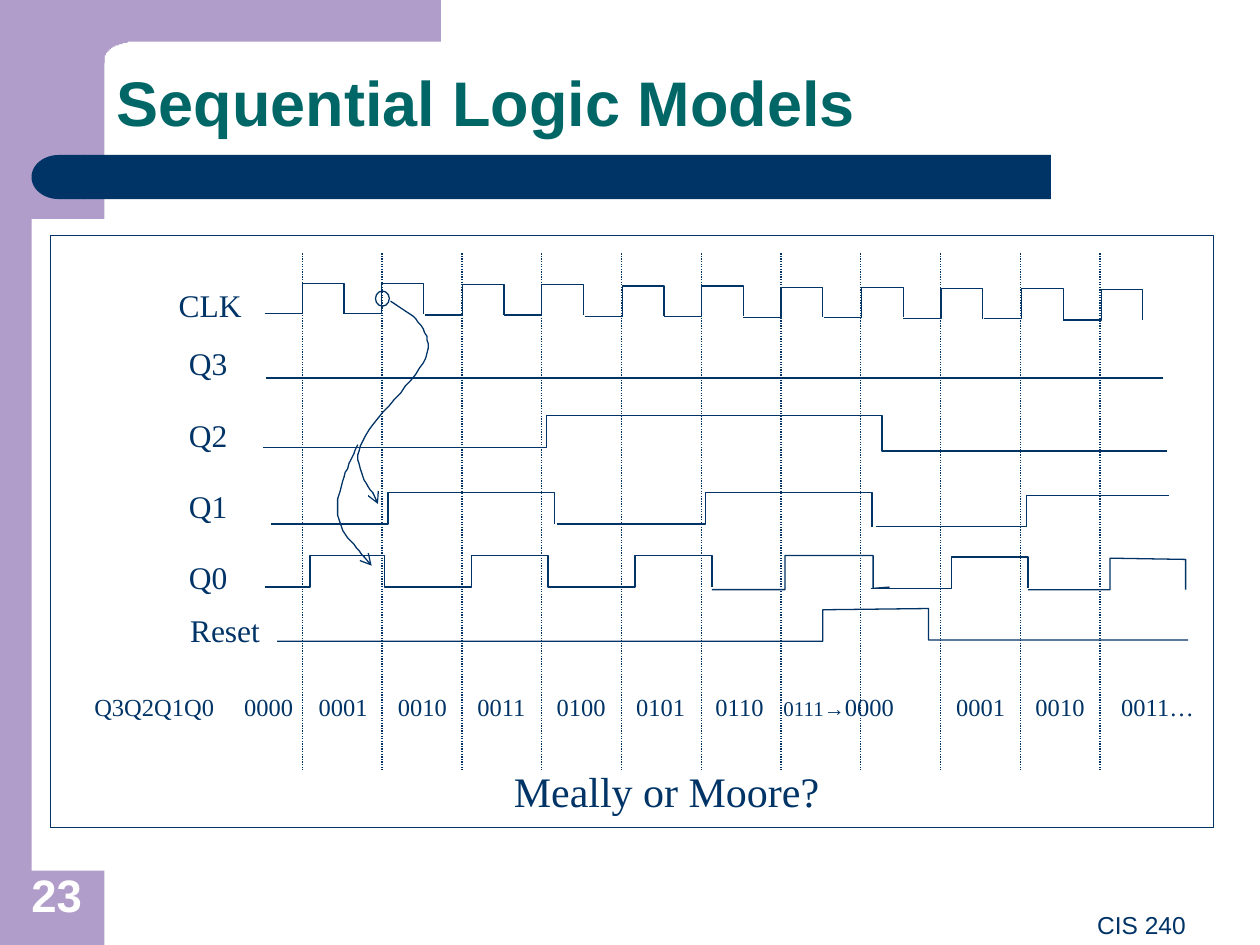
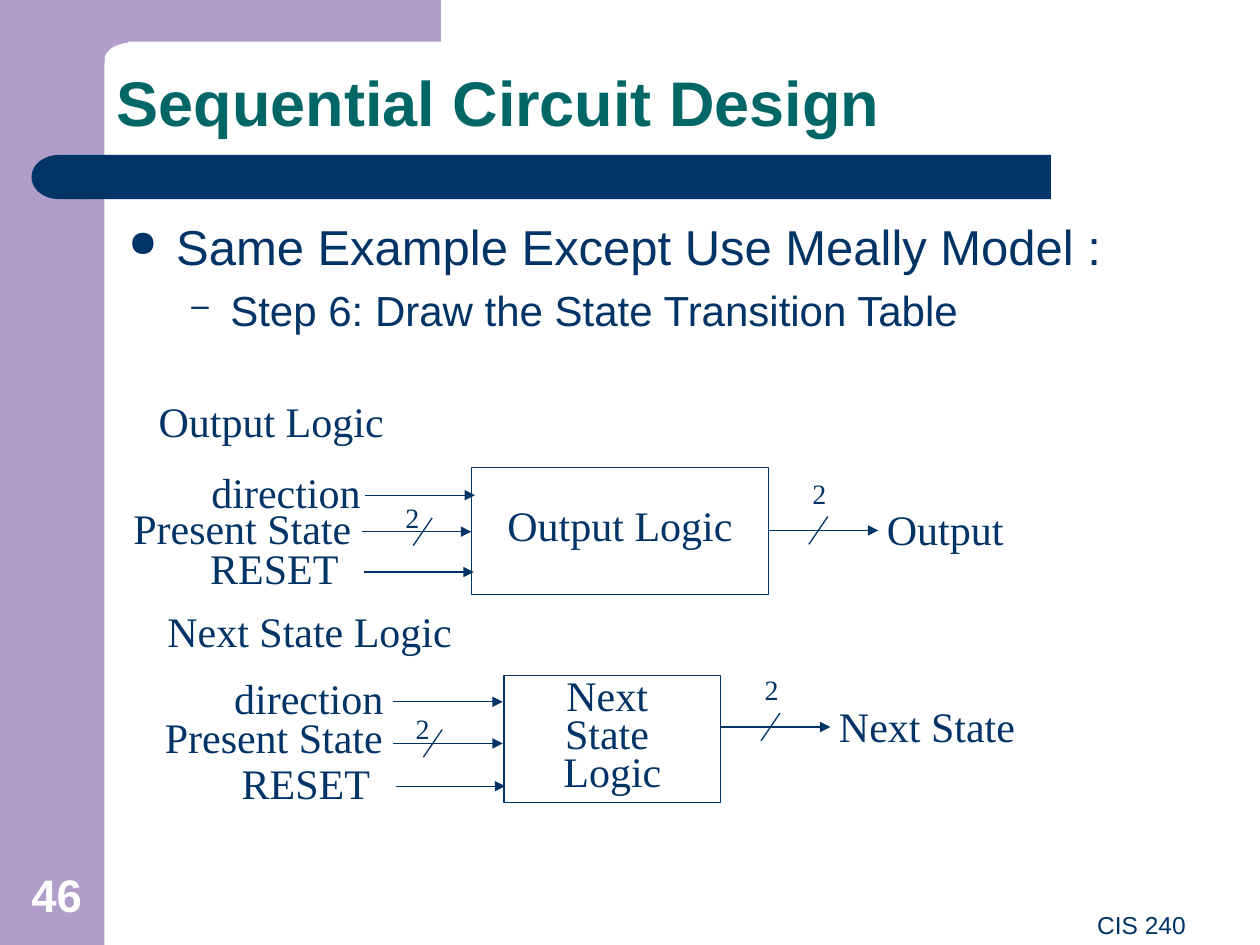
from dataclasses import dataclass

import lxml.etree
import pptx
import pptx.dml.color
import pptx.enum.dml
import pptx.enum.shapes
import pptx.enum.text
import pptx.oxml.ns
import pptx.util

qn = pptx.oxml.ns.qn
Align = pptx.enum.text.PP_ALIGN
Anchor = pptx.enum.text.MSO_ANCHOR
Kind = pptx.enum.shapes.MSO_SHAPE
PX = 9144  # 100 px to the inch


@dataclass(frozen=True)
class Theme:
    navy: str = "003366"
    teal: str = "006666"
    lilac: str = "B09DC9"
    white: str = "FFFFFF"
    sans: str = "Arial"
    serif: str = "Times New Roman"
    title: int = 36
    lead: int = 28
    page: int = 26
    large: int = 24
    label: int = 18
    bits: int = 16
    small: int = 14
    tiny: int = 12
    rule: float = 0.75


T = Theme()


# Drawing helpers
def rgb(code):
    return pptx.dml.color.RGBColor.from_string(code)


def emu(*nums):
    return [pptx.util.Emu(round(n * PX)) for n in nums]


def paint(shape, fill=None, line=None):
    shape.shadow.inherit = False
    if fill:
        shape.fill.solid()
        shape.fill.fore_color.rgb = rgb(fill)
    else:
        shape.fill.background()
    if line:
        ink(shape, line)
    else:
        shape.line.fill.background()
    return shape


def ink(shape, color=T.navy):
    shape.line.color.rgb = rgb(color)
    shape.line.width = pptx.util.Pt(T.rule)


def head(shape, kind):
    line = shape.element.spPr.find(qn("a:ln"))
    lxml.etree.SubElement(line, qn("a:tailEnd"), type=kind)


def block(slide, kind, box, fill=None, line=None):
    return paint(slide.shapes.add_shape(kind, *emu(*box)), fill, line)


def rule(slide, start, end, dots=False, arrow=False):
    kind = pptx.enum.shapes.MSO_CONNECTOR.STRAIGHT
    line = slide.shapes.add_connector(kind, *emu(*start, *end))
    ink(line)
    if dots:
        line.line.dash_style = pptx.enum.dml.MSO_LINE.ROUND_DOT
    if arrow:
        head(line, "triangle")
    lxml.etree.SubElement(line.element.spPr, qn("a:effectLst"))


def trace(slide, points, fill=None, line=T.navy, close=False):
    build = slide.shapes.build_freeform(*points[0], scale=PX)
    build.add_line_segments(points[1:], close=close)
    return paint(build.convert_to_shape(), fill, line)


def curve(points, steps=16):
    """Points along joined cubic curves: a start, then three for each curve."""
    out = [points[0]]
    for i in range(0, len(points) - 1, 3):
        quad = points[i:i + 4]
        for k in range(1, steps + 1):
            t = k / steps
            mix = ((1 - t) ** 3, 3 * t * (1 - t) ** 2, 3 * t * t * (1 - t), t ** 3)
            out.append(tuple(sum(m * p[a] for m, p in zip(mix, quad)) for a in (0, 1)))
    return out


def style(para, size, font=T.serif, color=T.navy, bold=False):
    para.font.size = pptx.util.Pt(size)
    para.font.name = font
    para.font.color.rgb = rgb(color)
    para.font.bold = bold


def text(slide, box, words, size, font=T.serif, color=T.navy, bold=False,
         align=Align.LEFT, anchor=Anchor.TOP, lead=None, wrap=True):
    frame = slide.shapes.add_textbox(*emu(*box)).text_frame
    frame.word_wrap = wrap
    frame.vertical_anchor = anchor
    para = frame.paragraphs[0]
    para.text = words
    para.alignment = align
    if lead:
        para.line_spacing = lead
    style(para, size, font, color, bold)
    return para


# Shared frame
def band(slide):
    block(slide, Kind.RECTANGLE, (0, 0, 83, 750), T.lilac)
    bend = curve([(103, 33), (100, 34), (96, 35), (93, 36), (90, 37),
                  (87, 39), (86, 41), (84, 42), (84, 44), (83, 45)])
    trace(slide, [(350, 0), (350, 33), *bend, (83, 50), (50, 50), (50, 0)],
          T.lilac, None, True)
    block(slide, Kind.RECTANGLE, (67, 123, 767, 35), T.navy)
    block(slide, Kind.FLOWCHART_DELAY, (25, 123, 43, 35), T.navy).rotation = 180


def base(deck, title, page):
    slide = deck.slides.add_slide(deck.slide_layouts[6])
    band(slide)
    text(slide, (83, 33, 867, 83), title, T.title, T.sans, T.teal, True,
         anchor=Anchor.BOTTOM, lead=0.9)
    text(slide, (0, 683, 90, 53), page, T.page, T.sans, T.white, True,
         Align.CENTER, Anchor.BOTTOM)
    text(slide, (342, 717, 609, 32), "CIS 240", T.small, T.sans, align=Align.RIGHT)
    return slide


# Timing chart, placed in a box
PITCH = 63.3
NAMES = [("CLK", 92, 35), ("Q3", 100, 81), ("Q2", 100, 138),
         ("Q1", 100, 195), ("Q0", 100, 251), ("Reset", 101, 293)]
WAVES = [
    # Q3
    [(171, 113), (883, 113)],
    # Q2
    [(169, 168), (394, 168), (394, 143), (660, 143), (660, 171), (886, 171)],
    # Q1
    [(175, 229), (268, 229), (268, 204), (400, 204), (400, 229)],
    [(402, 229), (520, 229), (520, 204), (652, 204), (652, 231)],
    [(655, 231), (775, 231), (775, 206), (888, 206)],
    # Q0
    [(170, 279), (206, 279), (206, 254), (265, 254), (265, 279), (334, 279),
     (334, 254), (395, 254), (395, 279), (464, 279), (464, 254), (525, 254),
     (525, 279)],
    [(525, 281), (583, 281), (583, 254), (653, 254), (653, 280), (666, 279)],
    [(651, 280), (715, 280), (715, 255), (776, 255), (776, 280)],
    [(776, 281), (841, 281), (841, 256), (901, 257), (901, 281)],
    # Reset
    [(180, 322), (613, 322), (613, 297), (697, 296), (697, 321), (903, 321)],
]
CAUSES = [
    [(270, 52), (287, 62), (303, 73), (299, 93), (295, 112), (252, 147),
     (246, 167), (239, 187), (257, 203), (260, 213)],
    [(244, 166), (235, 186), (226, 206), (228, 222), (230, 238), (251, 255),
     (255, 262)],
]


def states(slide, box):
    para = text(slide, box, "", T.small)
    stops = [119, *(round(178 + 63 * i) for i in range(6)), 547, 684, 747, 815]
    tabs = lxml.etree.SubElement(para._p.get_or_add_pPr(), qn("a:tabLst"))
    for stop in stops:
        lxml.etree.SubElement(tabs, qn("a:tab"), pos=str(stop * PX), algn="l")
    style(para, T.small)
    codes = [f"{n:04b}" for n in range(7)]
    para.add_run().text = "\t".join(["Q3Q2Q1Q0", *codes, ""])
    jump = para.add_run()
    jump.text = "0111→"
    jump.font.size = pptx.util.Pt(T.tiny)
    para.add_run().text = "\t".join(["0000", "0001", "0010", "0011…"])


def timing(slide, box):
    left, top, wide, high = box

    def at(points):
        return [(left + x, top + y) for x, y in points]

    block(slide, Kind.RECTANGLE, box, line=T.navy)
    for i in range(11):
        x = left + 200 + PITCH * i
        rule(slide, (x, top + 14), (x, top + 424), dots=True)
        # Clock pulse, sinking slightly along the row
        x, low = round(170 + 63.4 * i), 62 + i // 2
        trace(slide, at([(x, low), (x + 30, low), (x + 30, low - 24),
                         (x + 63, low - 24), (x + 63, low)]))
    for name, x, y in NAMES:
        text(slide, (left + x, top + y, 101, 40), name, T.label)
    for wave in WAVES:
        trace(slide, at(wave))
    block(slide, Kind.OVAL, (left + 258, top + 44, 11, 12), line=T.navy)
    for cause in CAUSES:
        head(trace(slide, at(curve(cause))), "arrow")
    states(slide, (left + 25, top + 357, 907, 33))
    text(slide, (left + 358, top + 416, 291, 50), "Meally or Moore?", T.large)


# Logic diagram, placed around its box
def bus(slide, x, y, slash, dx, dy):
    rule(slide, (x + slash, y - 11), (x + slash - 15, y + 11))
    text(slide, (x + dx, y + dy, 30, 37), "2", T.bits)


def logic(slide, box, name, title, inset, inputs, slash, result, drop):
    left, top, wide, high = box
    words, dx, dy = title
    text(slide, (left + dx, top + dy, 248, 50), words, T.large, wrap=False)

    frame = block(slide, Kind.RECTANGLE, box, line=T.navy).text_frame
    frame.vertical_anchor = Anchor.TOP
    frame.margin_top = emu(inset)[0]
    frame.text = "\n".join(name)
    for para in frame.paragraphs:
        para.alignment = Align.CENTER
        para.line_spacing = 0.75
        style(para, T.large)

    # Inputs, the middle one two bits wide
    for i, (word, dx, dy, ax, ay) in enumerate(inputs):
        x, y = left + ax, top + ay
        text(slide, (left + dx, top + dy, 248, 50), word, T.large)
        rule(slide, (x, y), (x + 87, y), arrow=True)
        if i == 1:
            bus(slide, x, y, slash, slash - 31, -30)

    # Result
    x, y = left + wide, top + drop
    rule(slide, (x, y), (x + 87, y), arrow=True)
    bus(slide, x, y, 47, 25, -48)
    text(slide, (x + 84, y - 26, 185, 50), result, T.large)


# Bullets
def points(slide, box, items):
    frame = slide.shapes.add_textbox(*emu(*box)).text_frame
    frame.word_wrap = True
    for i, (words, mark, size, margin, hang) in enumerate(items):
        para = frame.add_paragraph() if i else frame.paragraphs[0]
        para.text = words
        para.level = i
        if i:
            para.space_before = pptx.util.Pt(5)
        props = para._p.get_or_add_pPr()
        props.set("marL", str(margin * PX))
        props.set("indent", str(-hang * PX))
        tint = lxml.etree.SubElement(props, qn("a:buClr"))
        lxml.etree.SubElement(tint, qn("a:srgbClr"), val=T.navy)
        lxml.etree.SubElement(props, qn("a:buSzPct"), val="75000")
        lxml.etree.SubElement(props, qn("a:buChar"), char=mark)
        style(para, size, T.sans)


def models(deck):
    slide = base(deck, "Sequential Logic Models", "23")
    block(slide, Kind.RECTANGLE, (25, 174, 92, 517), T.white)
    timing(slide, (40, 187, 923, 470))


def design(deck):
    slide = base(deck, "Sequential Circuit Design", "46")
    points(slide, (92, 167, 841, 120), [
        ("Same Example Except Use Meally Model :", "●", T.lead, 38, 38),
        ("Step 6: Draw the State Transition Table", "–", T.large, 81, 31),
    ])
    logic(slide, (374, 371, 236, 101), ["Output Logic"],
          ("Output Logic", -258, -62), 35,
          [("direction", -216, -6, -84, 22),
           ("Present State", -278, 23, -87, 51),
           ("RESET", -217, 55, -85, 83)], 56, "Output", 50)
    logic(slide, (400, 536, 172, 101), ["Next ", "State ", "Logic"],
          ("Next State Logic", -277, -60), 5,
          [("direction", -224, -7, -88, 21),
           ("Present State", -279, 24, -88, 54),
           ("RESET", -218, 60, -86, 88)], 39, "Next State", 41)


def main():
    deck = pptx.Presentation()
    deck.slide_width, deck.slide_height = emu(1000, 750)
    models(deck)
    design(deck)
    deck.save("out.pptx")


if __name__ == "__main__":
    main()
